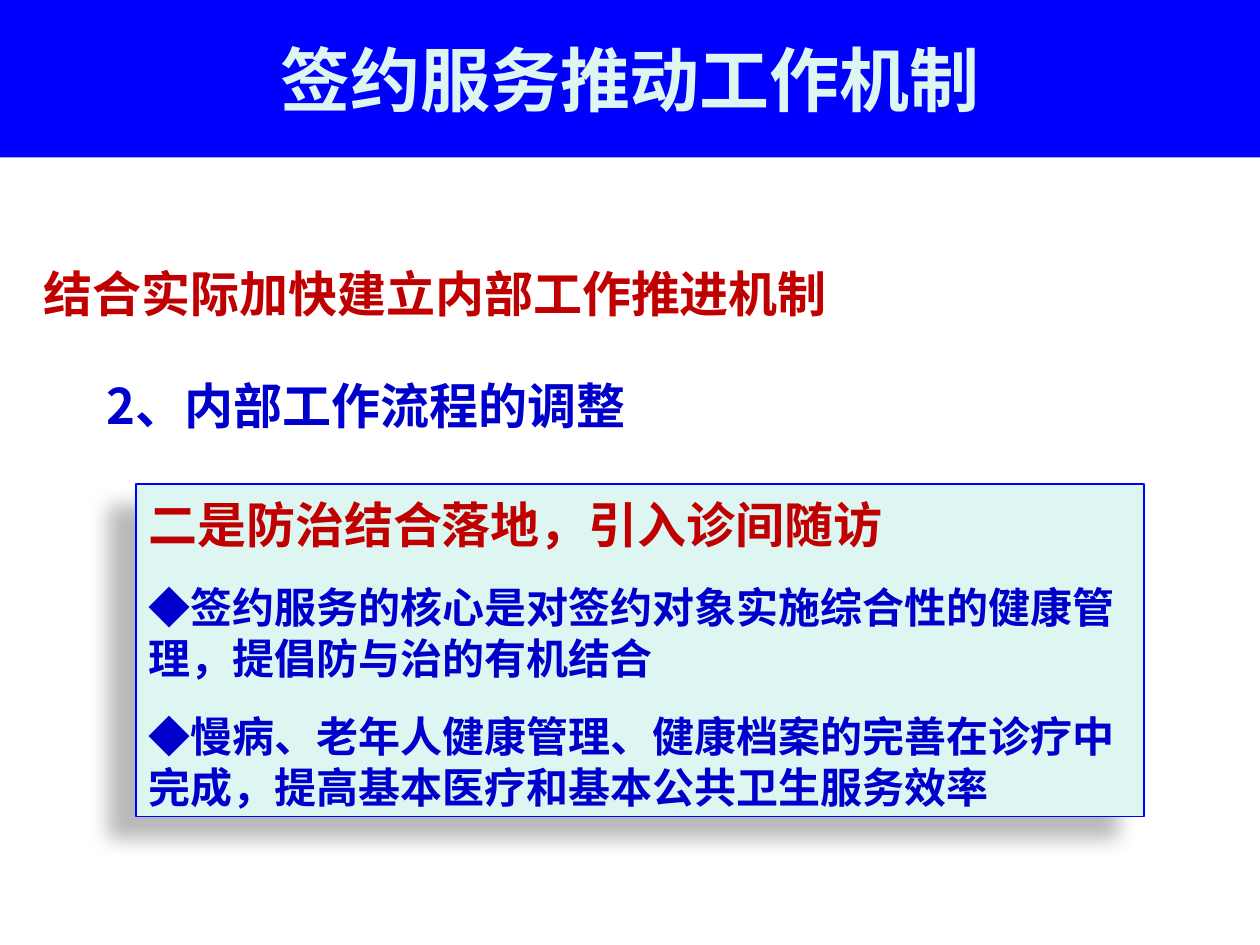
from dataclasses import dataclass

from lxml import etree
from pptx import Presentation
from pptx.dml.color import RGBColor
from pptx.enum import shapes, text
from pptx.oxml import ns
from pptx.util import Pt


@dataclass(frozen=True)
class Theme:
    font: str = "Noto Sans CJK SC"
    banner: str = "0000FF"
    pale: str = "DEF6F1"
    red: str = "C00000"
    blue: str = "0000CC"
    shadow: str = "000000"
    title: int = 40
    heading: int = 28
    body: int = 24


THEME = Theme()


def color(value):
    return RGBColor.from_string(value)


def write(paragraph, wording, size, ink, leading, before=0, align=text.PP_ALIGN.LEFT):
    paragraph.alignment = align
    paragraph.line_spacing = Pt(leading)
    paragraph.space_before = Pt(before)
    run = paragraph.add_run()
    run.text = wording
    run.font.name = THEME.font
    run.font.size = Pt(size)
    run.font.bold = True
    run.font.color.rgb = color(ink)
    east_asian = etree.SubElement(run.font._element, ns.qn("a:ea"))
    east_asian.set("typeface", THEME.font)


def prepare(frame, fit=text.MSO_AUTO_SIZE.SHAPE_TO_FIT_TEXT, anchor=text.MSO_ANCHOR.TOP):
    frame.word_wrap = True
    frame.auto_size = fit
    frame.vertical_anchor = anchor
    frame.margin_top = Pt(5.6)
    frame.margin_bottom = Pt(1.6)


def add_panel(slide, box, fill):
    panel = slide.shapes.add_shape(shapes.MSO_SHAPE.RECTANGLE, *map(Pt, box))
    panel.shadow.inherit = False
    panel.fill.solid()
    panel.fill.fore_color.rgb = color(fill)
    panel.line.fill.background()
    return panel


def cast_shadow(panel, blur, distance, degrees, opacity):
    effects = panel._element.spPr.find(ns.qn("a:effectLst"))
    outer = etree.SubElement(
        effects, ns.qn("a:outerShdw"), blurRad=str(Pt(blur)), dist=str(Pt(distance)),
        dir=str(degrees * 60000), algn="ctr", rotWithShape="0")
    tint = etree.SubElement(outer, ns.qn("a:srgbClr"), val=THEME.shadow)
    etree.SubElement(tint, ns.qn("a:alpha"), val=str(opacity * 1000))


def add_banner(slide, box, title):
    banner = add_panel(slide, box, THEME.banner)
    frame = banner.text_frame
    prepare(frame, text.MSO_AUTO_SIZE.NONE, text.MSO_ANCHOR.MIDDLE)
    frame.margin_top = frame.margin_bottom = Pt(3.6)
    write(frame.paragraphs[0], title, THEME.title, THEME.pale, leading=48,
          align=text.PP_ALIGN.CENTER)


def add_heading(slide, box, wording, ink, leading):
    frame = slide.shapes.add_textbox(*map(Pt, box)).text_frame
    prepare(frame)
    write(frame.paragraphs[0], wording, THEME.heading, ink, leading)


def add_measures(slide, box, heading, points):
    panel = add_panel(slide, box, THEME.pale)
    panel.line.color.rgb = color(THEME.banner)
    panel.line.width = Pt(0.75)
    cast_shadow(panel, blur=11.8, distance=19.7, degrees=141, opacity=28)
    frame = panel.text_frame
    prepare(frame)
    write(frame.paragraphs[0], heading, THEME.heading, THEME.red, leading=34)
    for point in points:
        write(frame.add_paragraph(), point, THEME.body, THEME.blue, leading=29, before=16)


def main():
    deck = Presentation()
    deck.slide_width, deck.slide_height = Pt(720), Pt(540)
    slide = deck.slides.add_slide(deck.slide_layouts[6])
    add_heading(slide, (18, 126, 558, 59.8), "结合实际加快建立内部工作推进机制", THEME.red, leading=52.6)
    add_measures(slide, (77.76, 276.5, 576, 190), "二是防治结合落地，引入诊间随访", (
        "◆签约服务的核心是对签约对象实施综合性的健康管理，提倡防与治的有机结合",
        "◆慢病、老年人健康管理、健康档案的完善在诊疗中完成，提高基本医疗和基本公共卫生服务效率",
    ))
    add_heading(slide, (54, 208.8, 618, 41), "2、内部工作流程的调整", THEME.blue, leading=34)
    add_banner(slide, (0, 0, 720, 90), "签约服务推动工作机制")
    deck.save("out.pptx")


if __name__ == "__main__":
    main()
